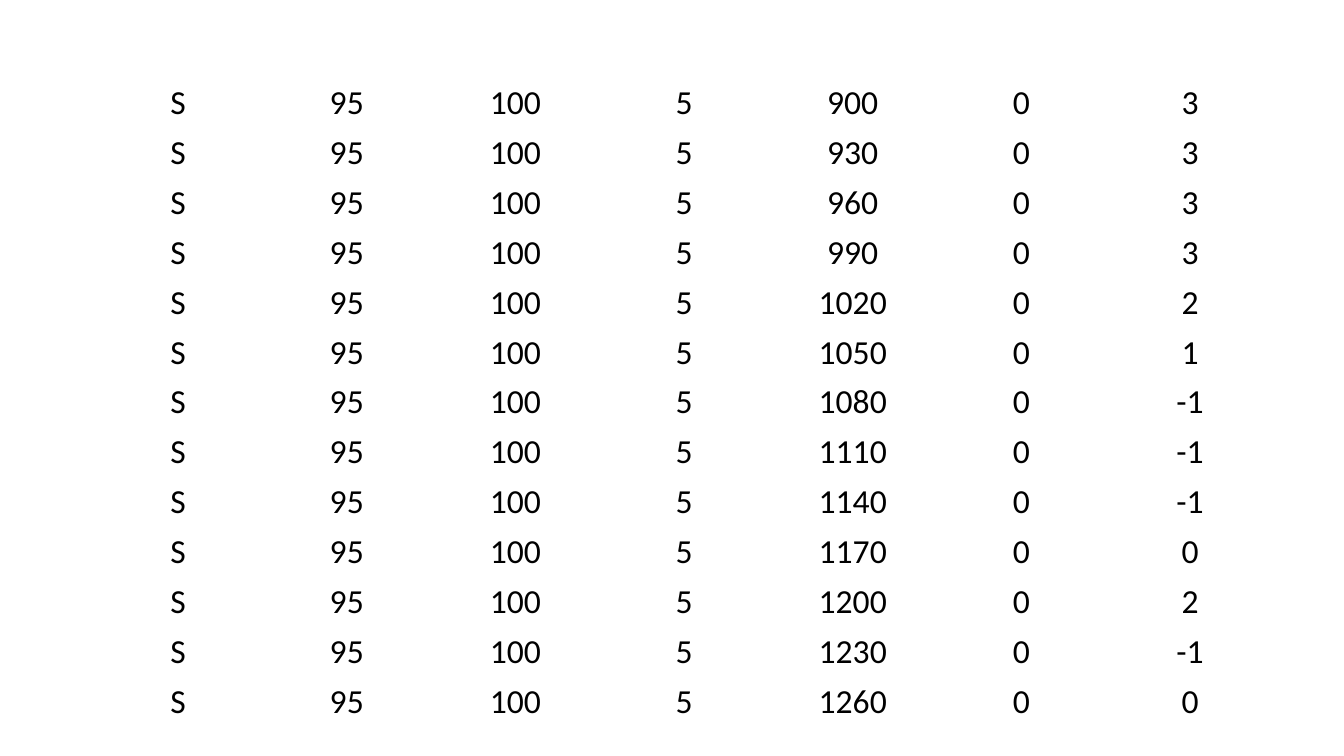
from pptx import Presentation
from pptx.dml.color import RGBColor
from pptx.enum.text import MSO_ANCHOR, PP_ALIGN
from pptx.util import Inches, Pt

BLACK = RGBColor(0x00, 0x00, 0x00)
BOTTOM = MSO_ANCHOR.BOTTOM
CENTER = PP_ALIGN.CENTER
BLANK_LAYOUT = 6

LEFT, TOP, WIDTH, HEIGHT = 0.93, 0.73, 11.71, 6.44
FIXED_VALUES = ["S", 95, 100, 5]
FIRST_STEP, STEP = 900, 30
LAST_COLUMN = [3, 3, 3, 3, 2, 1, -1, -1, -1, 0, 2, -1, 0]


def table_rows():
    """Return the rows, whose fifth value grows by a fixed step."""
    return [
        FIXED_VALUES + [FIRST_STEP + STEP * index, 0, last]
        for index, last in enumerate(LAST_COLUMN)
    ]


def fill_cell(cell, value):
    """Write one centred value into an unfilled cell."""
    cell.fill.background()
    cell.vertical_anchor = BOTTOM
    cell.margin_left = cell.margin_right = cell.margin_top = Inches(0.01)
    cell.margin_bottom = Inches(0)
    para = cell.text_frame.paragraphs[0]
    para.alignment = CENTER
    span = para.add_run()
    span.text = str(value)
    span.font.name = "Calibri"
    span.font.size = Pt(24)
    span.font.color.rgb = BLACK


def add_plain_table(page, rows):
    """Add a table of equal cells without banding or header."""
    row_count, column_count = len(rows), len(rows[0])
    table = page.shapes.add_table(
        row_count, column_count,
        Inches(LEFT), Inches(TOP), Inches(WIDTH), Inches(HEIGHT),
    ).table
    table.first_row = False
    table.horz_banding = False
    for row, values in zip(table.rows, rows):
        row.height = Inches(HEIGHT / row_count)
        for cell, value in zip(row.cells, values):
            fill_cell(cell, value)


def main():
    """Build the slide and save the deck."""
    deck = Presentation()
    deck.slide_width = Inches(13.33)
    deck.slide_height = Inches(7.5)
    page = deck.slides.add_slide(deck.slide_layouts[BLANK_LAYOUT])
    add_plain_table(page, table_rows())
    deck.save("out.pptx")


if __name__ == "__main__":
    main()
